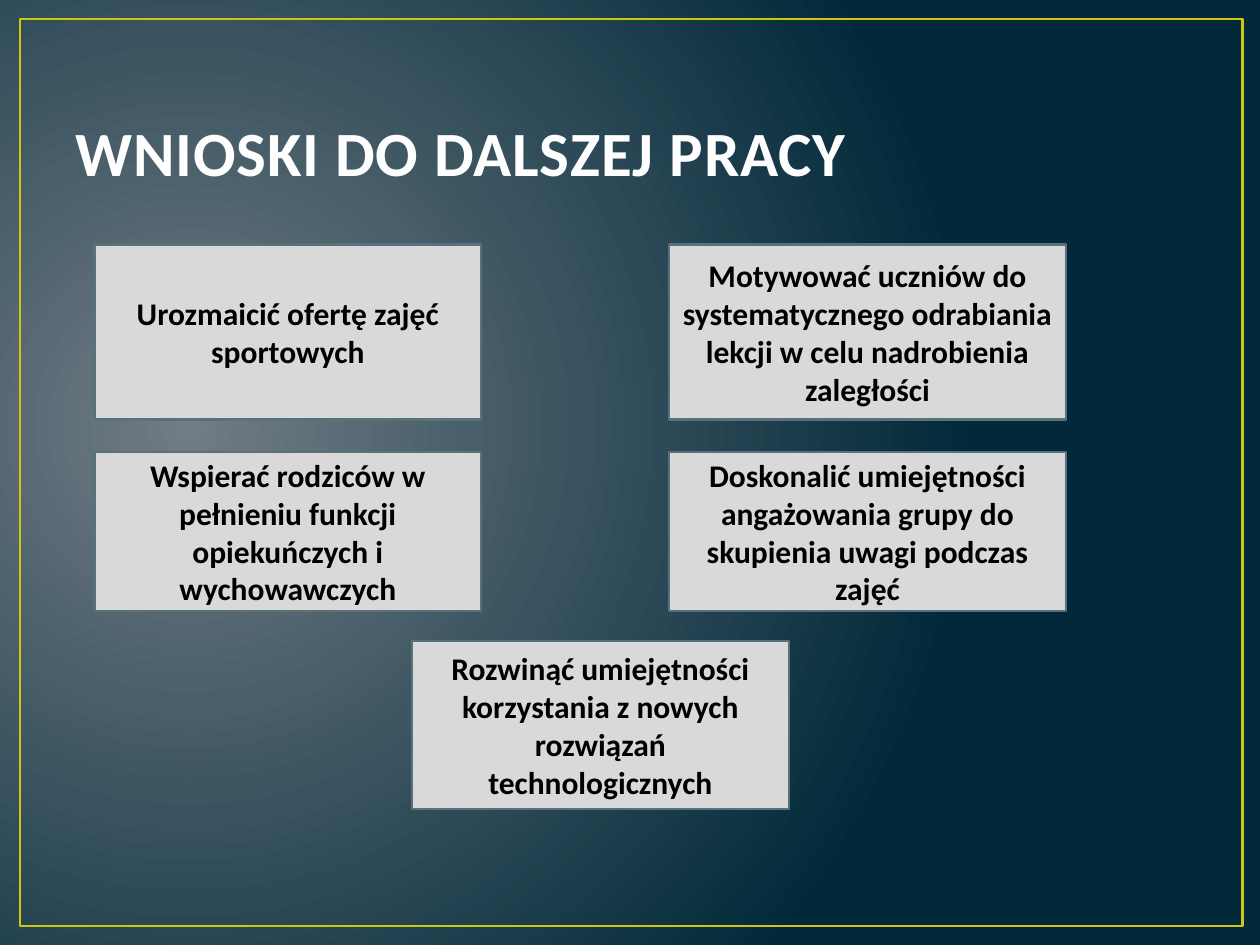
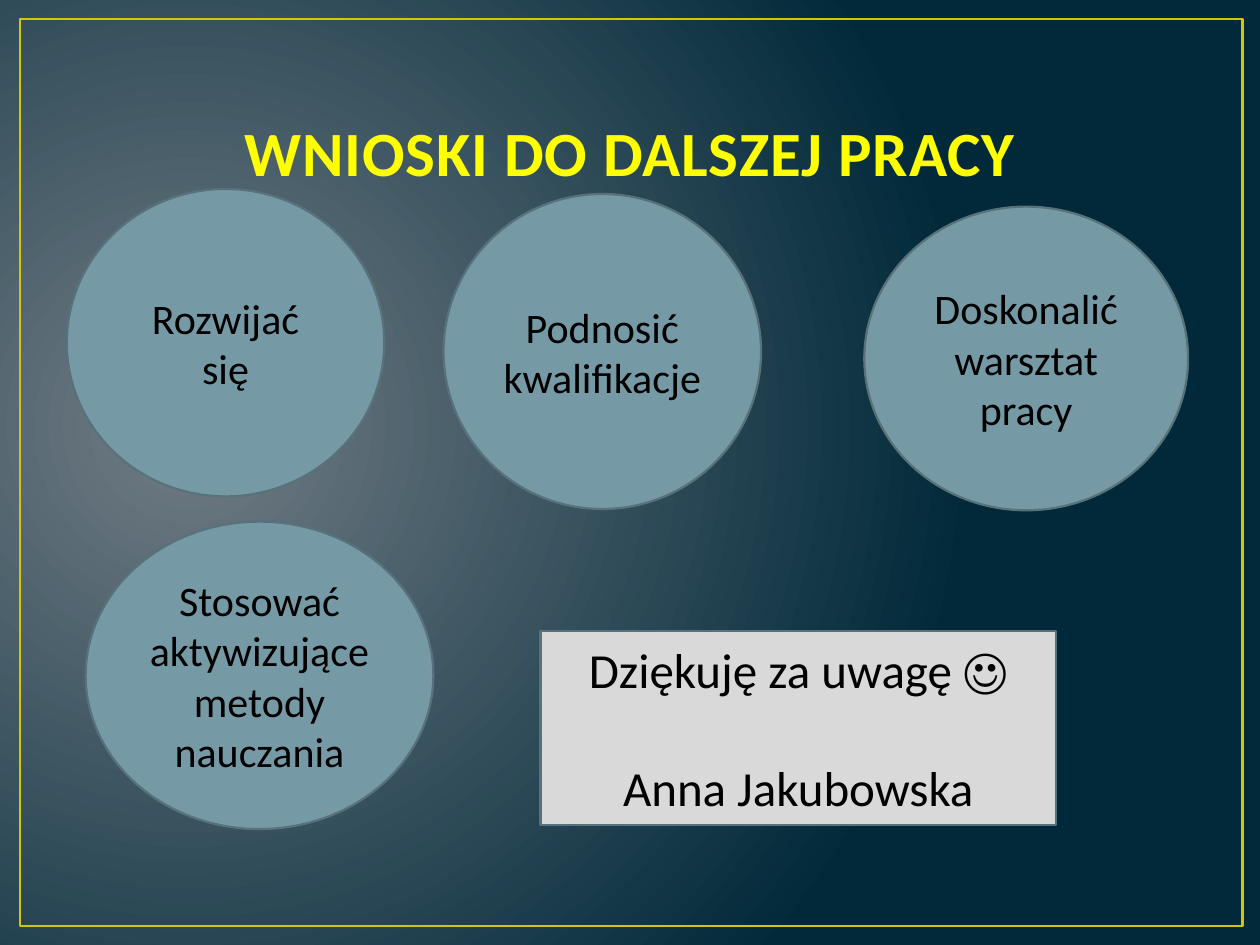
"""Build two slides of conclusions for further work."""
import itertools
from dataclasses import dataclass

import pptx
import pptx.util
from pptx.dml.color import RGBColor
from pptx.enum.shapes import MSO_SHAPE
from pptx.enum.text import MSO_ANCHOR, PP_ALIGN
from pptx.oxml import parse_xml
from pptx.oxml.ns import nsdecls, qn
from pptx.util import Inches


@dataclass(frozen=True)
class Theme:
    font: str = "Calibri"
    glow: str = "717C84"
    night: str = "01293A"
    frame: str = "CFC60D"
    white: str = "FEFEFE"
    yellow: str = "FFFF00"
    black: str = "000000"
    panel: str = "D9D9D9"
    circle: str = "759AA5"
    edge: str = "57727A"
    title_size: int = 36
    panel_size: int = 18
    circle_size: int = 24
    closing_size: int = 28
    frame_width: float = 1.5
    edge_width: float = 1.25


THEME = Theme()
TITLE = "WNIOSKI DO DALSZEJ PRACY"


def style_text(box, text, size, color, bold, align):
    frame = box.text_frame
    frame.word_wrap = True
    frame.text = text
    for para in frame.paragraphs:
        para.alignment = align
        for span in para.runs:
            span.font.name = THEME.font
            span.font.size = pptx.util.Pt(size)
            span.font.bold = bold
            span.font.color.rgb = RGBColor.from_string(color)
    return frame


def add_panel(page, kind, place, text, fill, size, bold=False):
    box = page.shapes.add_shape(kind, *map(Inches, place))
    box.shadow.inherit = False
    box.fill.solid()
    box.fill.fore_color.rgb = RGBColor.from_string(fill)
    box.line.color.rgb = RGBColor.from_string(THEME.edge)
    box.line.width = pptx.util.Pt(THEME.edge_width)
    frame = style_text(box, text, size, THEME.black, bold, PP_ALIGN.CENTER)
    frame.vertical_anchor = MSO_ANCHOR.MIDDLE
    return frame


deck = pptx.Presentation()
deck.slide_width, deck.slide_height = Inches(10), Inches(7.5)

pages = []
for title_color, title_align in (
    (THEME.white, PP_ALIGN.LEFT),
    (THEME.yellow, PP_ALIGN.CENTER),
):
    page = deck.slides.add_slide(deck.slide_layouts[6])
    backdrop = page.background.fill
    backdrop.gradient()
    for stop, color in zip(backdrop.gradient_stops, (THEME.glow, THEME.night)):
        stop.color.rgb = RGBColor.from_string(color)
    linear = page.element.find(".//" + qn("a:lin"))
    linear.getparent().replace(linear, parse_xml(
        f'<a:path {nsdecls("a")} path="circle">'
        '<a:fillToRect l="15000" t="50000" r="85000" b="60000"/></a:path>'
    ))

    border = page.shapes.add_shape(
        MSO_SHAPE.RECTANGLE, Inches(0.16), Inches(0.15), Inches(9.7), Inches(7.2)
    )
    border.shadow.inherit = False
    border.fill.background()
    border.line.color.rgb = RGBColor.from_string(THEME.frame)
    border.line.width = pptx.util.Pt(THEME.frame_width)

    heading = page.shapes.add_textbox(Inches(0.5), Inches(0.3), Inches(9), Inches(1.25))
    frame = style_text(heading, TITLE, THEME.title_size, title_color, True, title_align)
    frame.vertical_anchor = MSO_ANCHOR.BOTTOM
    frame.paragraphs[0].runs[0].font._element.set("spc", "50")
    pages.append(page)

conclusions_page, closing_page = pages

rows = ((1.94, 1.39), (3.59, 1.26))
columns = ((0.75, 3.07), (5.31, 3.15))
places = [
    (left, top, width, height)
    for (top, height), (left, width) in itertools.product(rows, columns)
]
places.append((3.27, 5.09, 2.99, 1.33))
conclusions = (
    "Urozmaicić ofertę zajęć sportowych",
    "Motywować uczniów do systematycznego odrabiania lekcji w celu nadrobienia zaległości",
    "Wspierać rodziców w pełnieniu funkcji opiekuńczych i wychowawczych",
    "Doskonalić umiejętności angażowania grupy do skupienia uwagi podczas zajęć",
    "Rozwinąć umiejętności korzystania z nowych rozwiązań technologicznych",
)
for place, text in zip(places, conclusions):
    add_panel(conclusions_page, MSO_SHAPE.RECTANGLE, place, text,
              THEME.panel, THEME.panel_size, bold=True)

goals = (
    ("Stosować aktywizujące metody nauczania", (0.68, 4.14, 2.76, 2.44)),
    ("Doskonalić warsztat pracy", (6.86, 1.64, 2.57, 2.41)),
    ("Rozwijać się", (0.53, 1.5, 2.52, 2.44)),
    ("Podnosić kwalifikacje", (3.52, 1.54, 2.52, 2.5)),
)
for text, place in goals:
    add_panel(closing_page, MSO_SHAPE.OVAL, place, text, THEME.circle, THEME.circle_size)

thanks = add_panel(
    closing_page, MSO_SHAPE.FLOWCHART_PROCESS, (4.29, 5.01, 4.09, 1.54),
    "Dziękuję za uwagę ☺\nAnna Jakubowska", THEME.panel, THEME.closing_size,
)
thanks.paragraphs[1].space_before = pptx.util.Pt(34)

deck.save("out.pptx")
